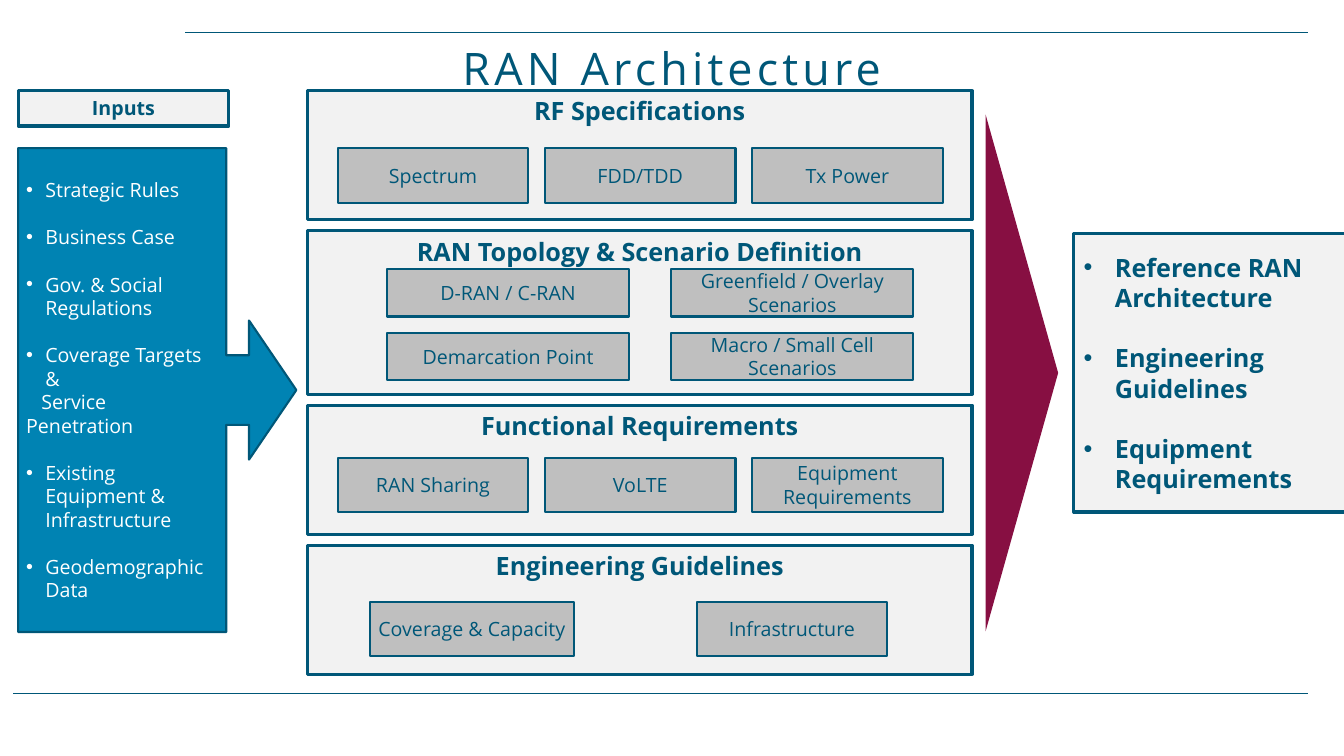
import dataclasses

import lxml.etree
import pptx
import pptx.dml.color
import pptx.enum.shapes
import pptx.enum.text
import pptx.oxml.ns
import pptx.util

Inches, Pt = pptx.util.Inches, pptx.util.Pt
SHAPE = pptx.enum.shapes.MSO_SHAPE
ALIGN = pptx.enum.text.PP_ALIGN
ANCHOR = pptx.enum.text.MSO_ANCHOR
qn = pptx.oxml.ns.qn

TEAL, BLUE, WINE, WHITE = "005778", "0083B3", "870F42", "FFFFFF"
PALE, GREY = "F2F2F2", "BFBFBF"

PANEL_LEFT, PANEL_TOP, PANEL_WIDTH, PANEL_GAP = 3.05, 0.9, 6.59, 0.11
CHIP_ROW_PITCH = 0.63
LINE_HEIGHT = 1.2

HEADING = {"size": Pt(18), "bold": True}
LABEL = {"size": Pt(14), "bold": False}
SMALL_HEADING = {"size": Pt(14), "bold": True}
TITLE = {"size": Pt(32), "bold": False}
TIGHT_INSETS = {"margin_left": Inches(0.08), "margin_right": Inches(0.08)}
CHIP_FRAME = {"vertical_anchor": ANCHOR.MIDDLE, **TIGHT_INSETS}


@dataclasses.dataclass
class Panel:
    title: str
    height: float
    chip_drop: float
    chip_height: float
    columns: list[tuple[float, float]]  # left, width
    rows: list[list[str]]


@dataclasses.dataclass
class Item:
    text: str
    hang: float = 0
    first: float = 0
    bullet: bool = True
    gap: bool = True


THIRDS = [(3.35 + 2.055 * i, 1.89) for i in range(3)]
HALVES = [(3.84, 2.4), (6.66, 2.4)]
PANELS = [
    Panel("RF Specifications", 1.28, 0.57, 0.54, THIRDS,
          [["Spectrum", "FDD/TDD", "Tx Power"]]),
    Panel("RAN Topology & Scenario Definition", 1.62, 0.38, 0.47, HALVES,
          [["D-RAN / C-RAN", "Greenfield / Overlay Scenarios"],
           ["Demarcation Point", "Macro / Small Cell Scenarios"]]),
    Panel("Functional Requirements", 1.28, 0.52, 0.54, THIRDS,
          [["RAN Sharing", "VoLTE", "Equipment Requirements"]]),
    Panel("Engineering Guidelines", 1.28, 0.56, 0.54, [(3.67, 2.02), (6.91, 1.89)],
          [["Coverage & Capacity", "Infrastructure"]]),
]
INPUTS = [
    Item("Strategic Rules", 0.19),
    Item("Business Case", 0.19),
    Item("Gov. & Social Regulations", 0.19),
    Item("Coverage Targets\v&", 0.19),
    Item("Service\vPenetration", first=0.15, bullet=False, gap=False),
    Item("Existing Equipment & Infrastructure", 0.19),
    Item("Geodemographic Data", 0.19),
]
OUTPUTS = [Item(text, 0.31) for text in (
    "Reference RAN Architecture", "Engineering Guidelines", "Equipment Requirements")]

prs = pptx.Presentation()
prs.slide_width, prs.slide_height = Inches(13.33), Inches(7.5)
slide = prs.slides.add_slide(prs.slide_layouts[6])


def rgb(color: str) -> pptx.dml.color.RGBColor:
    return pptx.dml.color.RGBColor.from_string(color)


def apply(target, values: dict) -> None:
    for name, value in values.items():
        setattr(target, name, value)


def add_box(kind, left: float, top: float, width: float, height: float,
            fill: str, line: float = 0):
    sp = slide.shapes.add_shape(kind, *map(Inches, (left, top, width, height)))
    sp.shadow.inherit = False
    sp.fill.solid()
    sp.fill.fore_color.rgb = rgb(fill)
    if line:
        sp.line.color.rgb = rgb(TEAL)
        sp.line.width = Pt(line)
    else:
        sp.line.fill.background()
    return sp


def style(p, font: dict, color: str, align) -> None:
    p.alignment = align
    for r in p.runs:
        apply(r.font, {"name": "Open Sans", **font})
        r.font.color.rgb = rgb(color)


def write(sp, text: str, font: dict, frame: dict):
    tf = sp.text_frame
    apply(tf, {"word_wrap": True, "vertical_anchor": ANCHOR.TOP, **frame})
    p = tf.paragraphs[0]
    p.text = text
    style(p, font, TEAL, ALIGN.CENTER)
    return p


def write_list(sp, items: list[Item], font: dict, color: str, frame: dict) -> None:
    tf = sp.text_frame
    apply(tf, {"word_wrap": True, "vertical_anchor": ANCHOR.MIDDLE, **frame})
    for i, item in enumerate(items):
        p = tf.add_paragraph() if i else tf.paragraphs[0]
        p.text = item.text
        style(p, font, color, ALIGN.LEFT)
        if i and item.gap:
            p.space_before = Pt(round(font["size"].pt * LINE_HEIGHT, 1))
        pPr = p._p.get_or_add_pPr()
        pPr.set("marL", str(Inches(item.hang)))
        pPr.set("indent", str(Inches(item.first - item.hang)))
        if item.bullet:
            lxml.etree.SubElement(pPr, qn("a:buFont")).set("typeface", "Arial")
            lxml.etree.SubElement(pPr, qn("a:buChar")).set("char", "•")
        else:
            lxml.etree.SubElement(pPr, qn("a:buNone"))


# Rules above and below the content
for left, y in ((1.84, 0.32), (0.13, 6.88)):
    rule = slide.shapes.add_connector(
        pptx.enum.shapes.MSO_CONNECTOR.STRAIGHT, *map(Inches, (left, y, 12.97, y)))
    rule.line.color.rgb = rgb(TEAL)
    rule.line.width = Pt(1)
    lxml.etree.SubElement(rule._element.spPr, qn("a:effectLst"))

# Title
title = slide.shapes.add_textbox(*map(Inches, (0, 0.38, 13.33, 0.6)))
p = write(title, "RAN Architecture", TITLE, {"vertical_anchor": ANCHOR.BOTTOM})
p.line_spacing = 0.8
p.runs[0]._r.get_or_add_rPr().set("spc", "300")

# Inputs
inputs_head = add_box(SHAPE.RECTANGLE, 0.18, PANEL_TOP, 2.09, 0.35, PALE, 2.25)
write(inputs_head, "Inputs", SMALL_HEADING, {})
inputs = add_box(SHAPE.RIGHT_ARROW_CALLOUT, 0.18, 1.47, 2.76, 4.8, BLUE, 1.5)
for i, value in enumerate((0.25, 0.25, 0.17, 0.748)):
    inputs.adjustments[i] = value
write_list(inputs, INPUTS, LABEL, WHITE, TIGHT_INSETS)

# Stacked panels with their chips
top = PANEL_TOP
for panel in PANELS:
    sp = add_box(SHAPE.RECTANGLE, PANEL_LEFT, top, PANEL_WIDTH, panel.height, PALE, 2.25)
    write(sp, panel.title, HEADING, {})
    for i, row in enumerate(panel.rows):
        chip_top = top + panel.chip_drop + i * CHIP_ROW_PITCH
        for (left, width), text in zip(panel.columns, row):
            chip = add_box(SHAPE.RECTANGLE, left, chip_top, width, panel.chip_height, GREY, 1.5)
            write(chip, text, LABEL, CHIP_FRAME)
    top += panel.height + PANEL_GAP

# Outputs, with the wedge leading to them
wedge = add_box(SHAPE.ISOSCELES_TRIANGLE, 7.57, 3.34, 5.13, 0.72, WINE)
wedge.rotation = 90
outputs = add_box(SHAPE.RECTANGLE, 10.65, 2.32, 2.95, 2.76, PALE, 2.25)
write_list(outputs, OUTPUTS, HEADING, TEAL, {})

prs.save("out.pptx")
